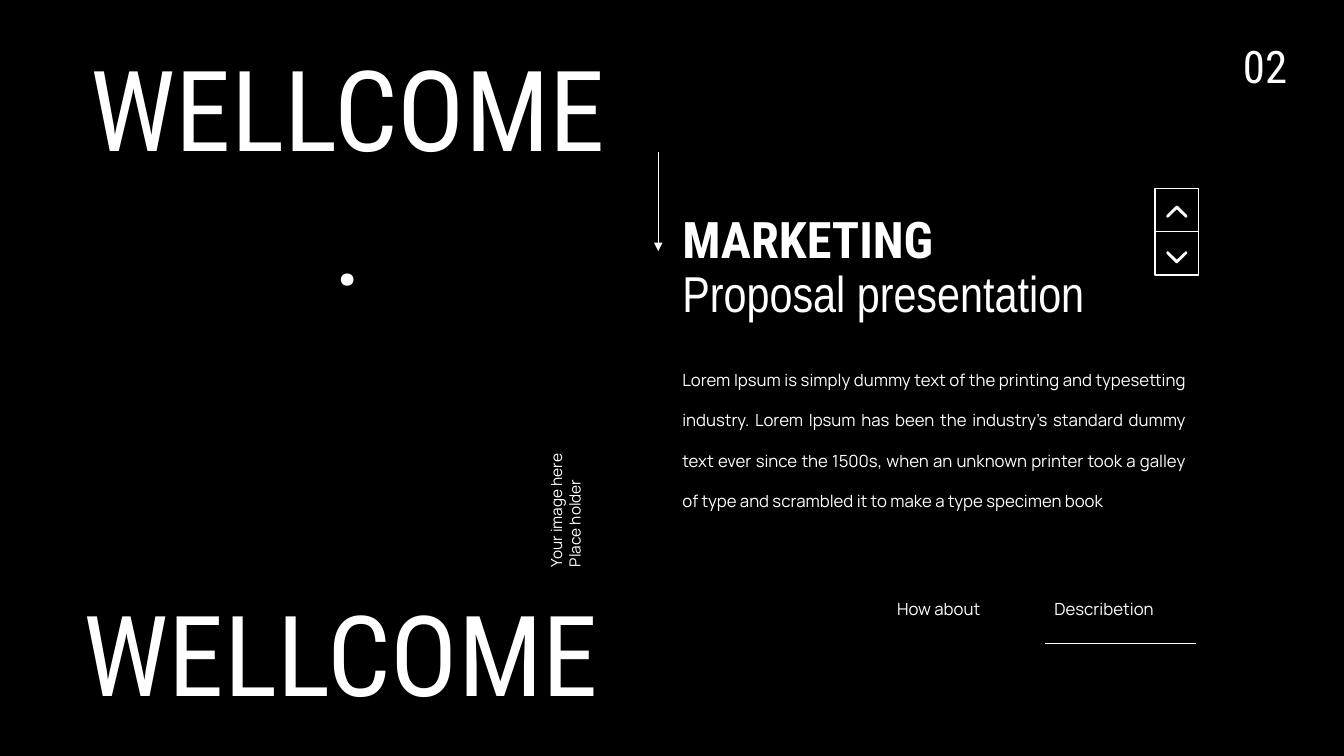
from dataclasses import dataclass

from pptx import Presentation
from pptx.dml.color import RGBColor
from pptx.enum.shapes import MSO_CONNECTOR, MSO_SHAPE
from pptx.enum.text import MSO_ANCHOR, MSO_AUTO_SIZE, PP_ALIGN
from pptx.oxml.ns import qn
from pptx.shapes.autoshape import Shape
from pptx.slide import Slide
from pptx.text.text import TextFrame
from pptx.util import Pt
from lxml.etree import SubElement


@dataclass(frozen=True)
class Theme:
    background: RGBColor = RGBColor(0, 0, 0)
    ink: RGBColor = RGBColor(255, 255, 255)
    display: str = "Roboto Condensed"
    narrow: str = "Arial Narrow"
    text: str = "Manrope"
    banner_size: float = 80
    title_size: float = 36
    number_size: float = 32
    body_size: float = 12
    caption_size: float = 11


THEME = Theme()


@dataclass(frozen=True)
class Line:
    text: str
    font: str
    size: float
    bold: bool = False


@dataclass(frozen=True)
class Block:
    left: float
    top: float
    width: float
    height: float
    lines: tuple[Line, ...]
    align: PP_ALIGN = PP_ALIGN.LEFT
    spacing: float = 1.0
    wrap: bool = False
    side_inset: float = 0
    end_inset: float = 0
    fit: MSO_AUTO_SIZE = MSO_AUTO_SIZE.SHAPE_TO_FIT_TEXT
    rotation: float = 0


@dataclass(frozen=True)
class Rule:
    start: tuple[float, float]
    end: tuple[float, float]
    arrow: bool = False


def apply_format(target: object, values: dict[str, object]) -> None:
    for attribute, value in values.items():
        setattr(target, attribute, value)


def fill_text(frame: TextFrame, block: Block) -> None:
    apply_format(frame, {
        "word_wrap": block.wrap, "auto_size": block.fit,
        "vertical_anchor": MSO_ANCHOR.TOP,
        "margin_left": Pt(block.side_inset), "margin_right": Pt(block.side_inset),
        "margin_top": Pt(block.end_inset), "margin_bottom": Pt(block.end_inset),
    })
    for index, line in enumerate(block.lines):
        paragraph = frame.add_paragraph() if index else frame.paragraphs[0]
        apply_format(paragraph, {
            "alignment": block.align, "line_spacing": block.spacing,
            "space_before": Pt(0), "space_after": Pt(0),
        })
        run = paragraph.add_run()
        run.text = line.text
        apply_format(run.font, {"name": line.font, "size": Pt(line.size), "bold": line.bold})
        run.font.color.rgb = THEME.ink


def place_block(shape: Shape, block: Block) -> None:
    apply_format(shape, {
        "left": Pt(block.left), "top": Pt(block.top),
        "width": Pt(block.width), "height": Pt(block.height),
        "rotation": block.rotation,
    })
    fill_text(shape.text_frame, block)


def add_block(slide: Slide, block: Block) -> None:
    place_block(slide.shapes.add_textbox(0, 0, 0, 0), block)


def add_rule(slide: Slide, rule: Rule) -> None:
    connector = slide.shapes.add_connector(
        MSO_CONNECTOR.STRAIGHT, *map(Pt, rule.start), *map(Pt, rule.end))
    connector.line.color.rgb = THEME.ink
    connector.line.width = Pt(0.5)
    if rule.arrow:
        SubElement(connector.line._get_or_add_ln(), qn("a:tailEnd"), type="triangle")
    SubElement(connector._element.spPr, qn("a:effectLst"))


def add_button(slide: Slide, left: float, top: float, size: float) -> None:
    button = slide.shapes.add_shape(MSO_SHAPE.RECTANGLE, Pt(left), Pt(top), Pt(size), Pt(size))
    button.shadow.inherit = False
    button.fill.background()
    button.line.color.rgb = THEME.ink
    button.line.width = Pt(1)


# Right half of an upward chevron, measured from its tip
CHEVRON_HALF = [(0.7, 0.3), (7.2, 6.8), (7.5, 7.5), (7.2, 8.3), (6.5, 8.6), (5.8, 8.2)]


def add_chevron(slide: Slide, center: float, tip: float, direction: int) -> None:
    outline = [(0, 0), *CHEVRON_HALF, (0, 2.6), *((-x, y) for x, y in reversed(CHEVRON_HALF))]
    points = [(Pt(center + x), Pt(tip + direction * y)) for x, y in outline]
    builder = slide.shapes.build_freeform(*points[0])
    builder.add_line_segments(points[1:], close=True)
    chevron = builder.convert_to_shape()
    chevron.shadow.inherit = False
    chevron.fill.solid()
    chevron.fill.fore_color.rgb = THEME.ink
    chevron.line.fill.background()


TITLE = Block(
    480.2, 149.8, 337, 96.5,
    (Line("MARKETING", THEME.display, THEME.title_size, True),
     Line("Proposal presentation", THEME.narrow, THEME.title_size)),
    spacing=0.9, wrap=True, side_inset=7.2, end_inset=3.6, fit=MSO_AUTO_SIZE.NONE)

BODY = Block(
    480.2, 246.2, 374.4, 148.3,
    (Line("Lorem Ipsum is simply dummy text of the printing and typesetting industry. "
          "Lorem Ipsum has been the industry's standard dummy text ever since the 1500s, "
          "when an unknown printer took a galley of type and scrambled it to make a type "
          "specimen book", THEME.text, THEME.body_size),),
    align=PP_ALIGN.JUSTIFY, spacing=2.0, wrap=True, side_inset=7.2, end_inset=3.6)

BANNER = (Line("WELLCOME.", THEME.display, THEME.banner_size),)
BLOCKS = [
    Block(53.3, 417.6, 380.9, 97.2, BANNER, PP_ALIGN.CENTER),
    Block(58.3, 28.1, 380.9, 97.2, BANNER, PP_ALIGN.CENTER),
    Block(886.3, 27.4, 34.6, 38.9,
          (Line("02", THEME.display, THEME.number_size),), PP_ALIGN.CENTER),
    Block(640.8, 427.7, 62.6, 14.4, (Line("How about", THEME.text, THEME.body_size),)),
    Block(753.1, 427.7, 72, 14.4, (Line("Describetion", THEME.text, THEME.body_size),)),
    Block(344.9, 336.2, 118.1, 33.8,
          tuple(Line(text, THEME.text, THEME.caption_size)
                for text in ("Your image here", "Place holder")),
          wrap=True, side_inset=7.2, end_inset=3.6, rotation=270),
]

RULES = [
    Rule((746.6, 459.4), (854.6, 459.4)),
    Rule((470.2, 108.7), (470.2, 179.3), arrow=True),
]


def main() -> None:
    deck = Presentation()
    apply_format(deck, {"slide_width": Pt(960), "slide_height": Pt(540)})
    slide = deck.slides.add_slide(deck.slide_layouts[1])
    slide.background.fill.solid()
    slide.background.fill.fore_color.rgb = THEME.background

    # Title and body
    place_block(slide.shapes.title, TITLE)
    body = slide.placeholders[1]
    place_block(body, BODY)
    properties = body.text_frame.paragraphs[0]._p.get_or_add_pPr()
    properties.set("marL", "0")
    properties.set("indent", "0")
    SubElement(properties, qn("a:buNone"))

    # Banners, page number, tabs and caption
    for block in BLOCKS:
        add_block(slide, block)

    # Tab underline and arrow
    for rule in RULES:
        add_rule(slide, rule)

    # Up and down buttons
    button_left, button_top, button_size = 825.1, 134.6, 31
    for row in range(2):
        add_button(slide, button_left, button_top + row * button_size, button_size)
    center = button_left + button_size / 2
    add_chevron(slide, center, 146.9, 1)
    add_chevron(slide, center, 188.1, -1)

    deck.save("out.pptx")


if __name__ == "__main__":
    main()
